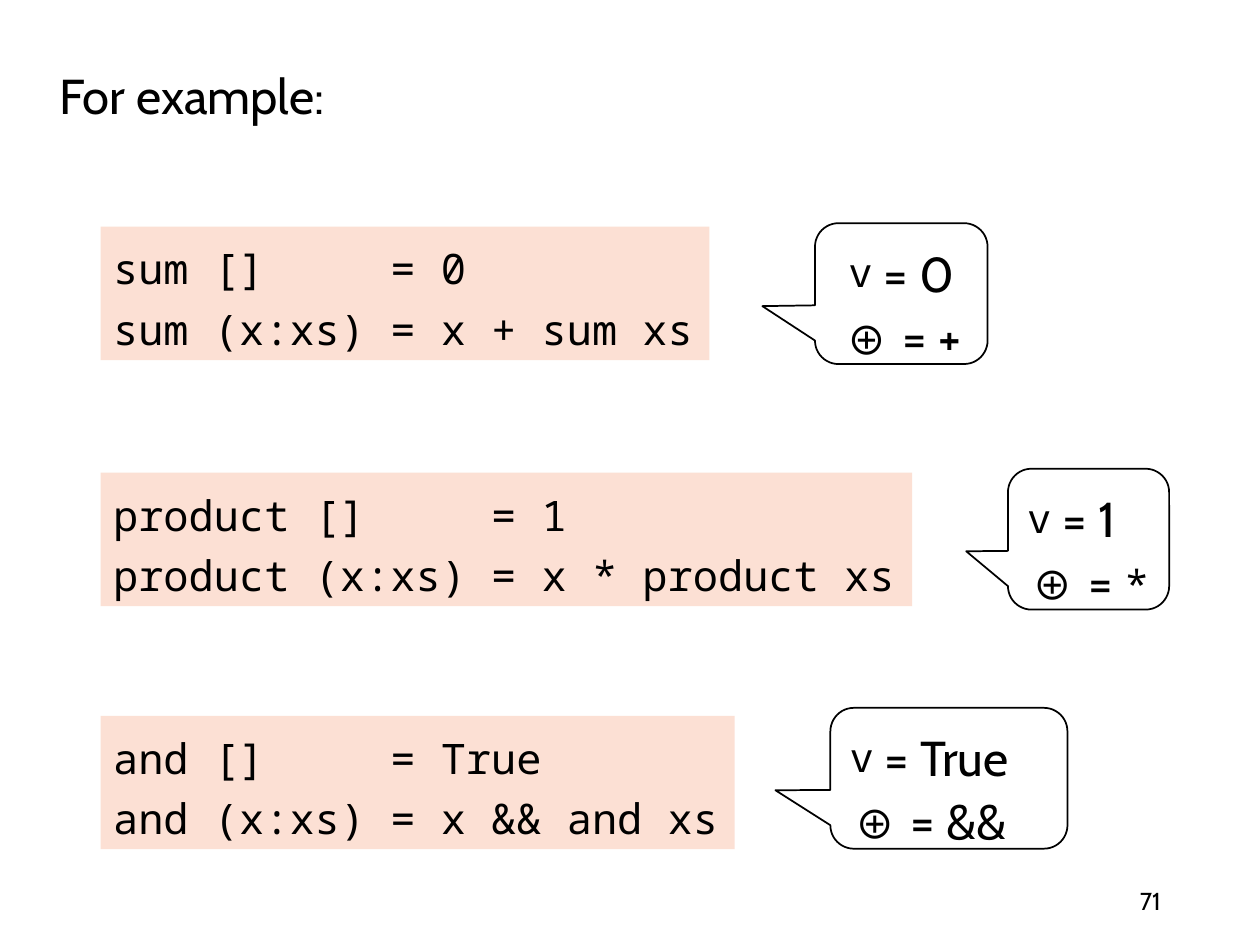
from dataclasses import dataclass

from pptx import Presentation
from pptx.dml.color import RGBColor
from pptx.enum.shapes import MSO_SHAPE
from pptx.enum.text import MSO_ANCHOR, MSO_AUTO_SIZE, PP_ALIGN
from pptx.util import Cm, Pt

BODY_FONT = "Cabin"
CODE_FONT = "Noto Sans Mono"
BLACK = "000000"
CODE_FILL = "FCE0D4"
CODE_LEFT, CODE_HEIGHT = 2.03, 2.69
CALLOUT_HEIGHT = 2.84


@dataclass(frozen=True)
class Span:
    text: str
    size: int
    font: str
    baseline: int = 0  # thousandths of a percent


@dataclass(frozen=True)
class Callout:
    left: float
    top: float
    width: float
    tail: tuple[float, float]
    value: str
    operator: Span
    align: PP_ALIGN = PP_ALIGN.LEFT


@dataclass(frozen=True)
class Example:
    top: float
    width: float
    code: str
    callout: Callout


EXAMPLES = [
    Example(4.57, 12.27, "sum []     = 0\nsum (x:xs) = x + sum xs",
            Callout(16.43, 4.5, 3.48, (-0.805, 0.089), "0",
                    Span("+", 28, BODY_FONT), PP_ALIGN.CENTER)),
    Example(9.53, 16.36, "product []     = 1\nproduct (x:xs) = x * product xs",
            Callout(20.32, 9.45, 3.25, (-0.759, 0.086), "1",
                    Span("*", 24, CODE_FONT))),
    Example(14.43, 12.78, "and []     = True\nand (x:xs) = x && and xs",
            Callout(16.74, 14.27, 4.78, (-0.732, 0.085), "True",
                    Span("&&", 28, BODY_FONT))),
]


def color(hex_value: str) -> RGBColor:
    return RGBColor.from_string(hex_value)


def place(shape, left: float, top: float, width: float, height: float) -> None:
    shape.left, shape.top = Cm(left), Cm(top)
    shape.width, shape.height = Cm(width), Cm(height)


def style_font(font, name: str, size: int) -> None:
    font.name = name
    font.size = Pt(size)
    font.color.rgb = color(BLACK)


def write_lines(frame, text: str, font: str, size: int,
                align: PP_ALIGN = PP_ALIGN.LEFT, spacing: float = 1.0) -> None:
    frame.text = text
    frame.vertical_anchor = MSO_ANCHOR.MIDDLE
    for paragraph in frame.paragraphs:
        paragraph.alignment = align
        paragraph.line_spacing = spacing
        for run in paragraph.runs:
            style_font(run.font, font, size)


def add_panel(slide, kind: MSO_SHAPE, left: float, top: float,
              width: float, height: float):
    """Add a shadowless shape that fits its unwrapped text."""
    panel = slide.shapes.add_shape(kind, Cm(left), Cm(top), Cm(width), Cm(height))
    panel.shadow.inherit = False
    frame = panel.text_frame
    frame.word_wrap = False
    frame.auto_size = MSO_AUTO_SIZE.SHAPE_TO_FIT_TEXT
    frame.vertical_anchor = MSO_ANCHOR.MIDDLE
    return panel


def add_code(slide, example: Example) -> None:
    panel = add_panel(slide, MSO_SHAPE.RECTANGLE, CODE_LEFT, example.top,
                      example.width, CODE_HEIGHT)
    panel.fill.solid()
    panel.fill.fore_color.rgb = color(CODE_FILL)
    panel.line.fill.background()
    write_lines(panel.text_frame, example.code, CODE_FONT, 24, spacing=1.2)


def add_callout(slide, callout: Callout) -> None:
    bubble = add_panel(slide, MSO_SHAPE.ROUNDED_RECTANGULAR_CALLOUT, callout.left,
                       callout.top, callout.width, CALLOUT_HEIGHT)
    for index, adjustment in enumerate((*callout.tail, 0.167)):
        bubble.adjustments[index] = adjustment
    bubble.fill.background()
    bubble.line.color.rgb = color(BLACK)
    bubble.line.width = Pt(1)

    frame = bubble.text_frame
    value_line = [Span("v", 40, CODE_FONT, 6000),
                  Span(f" = {callout.value}", 28, BODY_FONT)]
    operator_line = [Span("⊕", 24, CODE_FONT), Span(" = ", 28, BODY_FONT),
                     callout.operator]
    for paragraph, spans in ((frame.paragraphs[0], value_line),
                             (frame.add_paragraph(), operator_line)):
        paragraph.alignment = callout.align
        for span in spans:
            run = paragraph.add_run()
            run.text = span.text
            style_font(run.font, span.font, span.size)
            if span.baseline:
                run.font._element.set("baseline", str(span.baseline))


def main() -> None:
    presentation = Presentation()
    presentation.slide_width, presentation.slide_height = Cm(25.4), Cm(19.05)
    slide = presentation.slides.add_slide(presentation.slide_layouts[5])

    title = slide.shapes.title
    place(title, 0.94, 1.19, 22.5, 1.45)
    write_lines(title.text_frame, "For example:", BODY_FONT, 28)

    for example in EXAMPLES:
        add_code(slide, example)
        add_callout(slide, example.callout)

    page_number = slide.shapes.add_textbox(Cm(17.93), Cm(17.65), Cm(5.72), Cm(1.02))
    page_number.text_frame.word_wrap = True
    write_lines(page_number.text_frame, "71", BODY_FONT, 14, PP_ALIGN.RIGHT)

    presentation.save("out.pptx")


if __name__ == "__main__":
    main()
